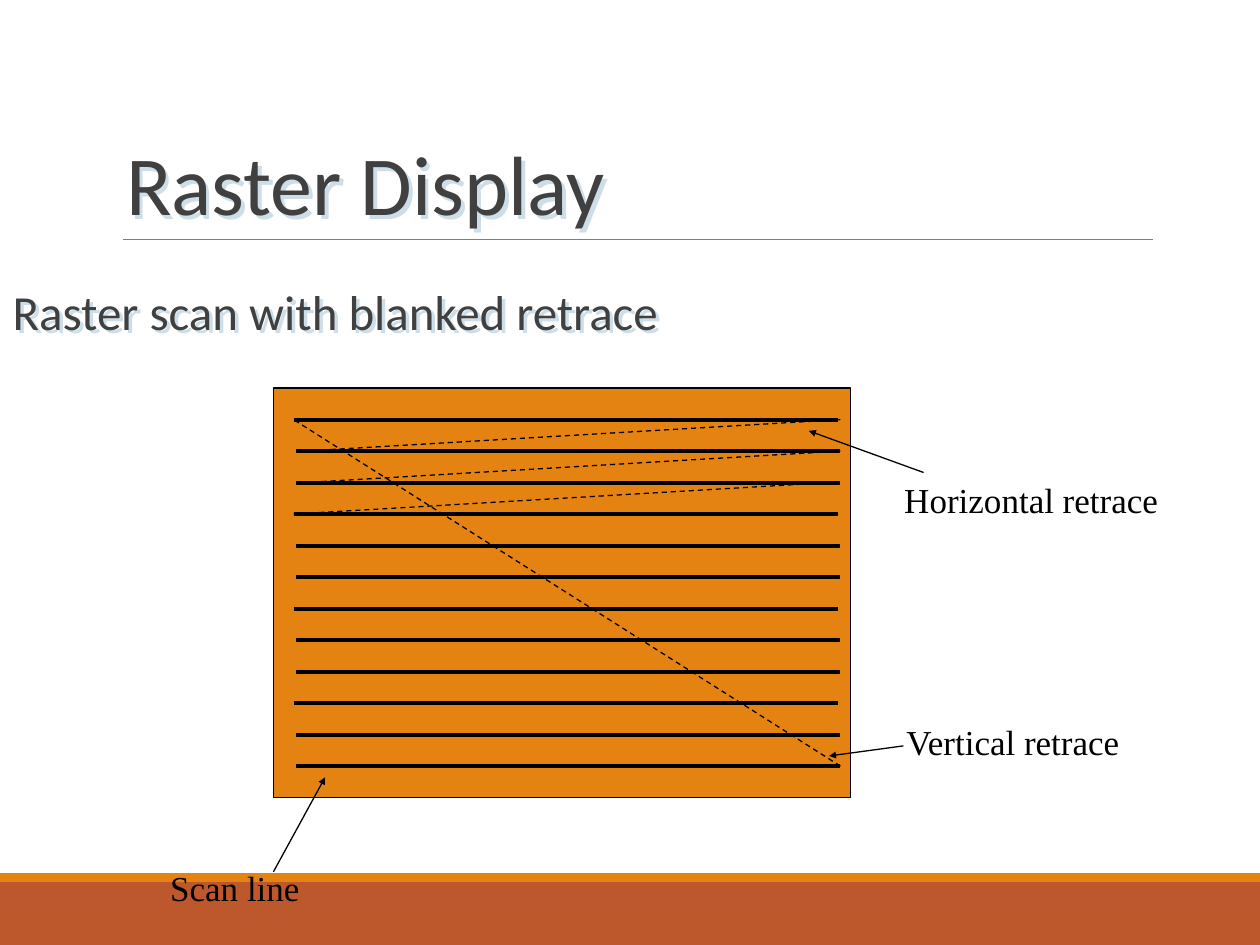
from lxml.etree import SubElement
from pptx import Presentation
from pptx.dml.color import RGBColor
from pptx.enum.dml import MSO_LINE
from pptx.enum.shapes import MSO_CONNECTOR, MSO_SHAPE
from pptx.enum.text import MSO_ANCHOR, MSO_AUTO_SIZE, PP_ALIGN
from pptx.oxml import parse_xml
from pptx.oxml.ns import nsdecls, qn
from pptx.util import Inches, Pt

BLACK = RGBColor(0x00, 0x00, 0x00)
DARK = RGBColor(0x40, 0x40, 0x40)
GRAY = RGBColor(0x7F, 0x7F, 0x7F)
ORANGE = RGBColor(0xE4, 0x83, 0x12)
RUST = RGBColor(0xBD, 0x58, 0x2C)
TEXT_SHADOW = RGBColor(0xCD, 0xDE, 0xE9)

# Content
TITLE = "Raster Display"
SUBTITLE = "Raster scan with blanked retrace"
# text, box (left, top, width, height), arrow start, arrow tip
LABELS = [
    ("Scan line", (1.25, 6.83, 1.23, 0.44), (2.17, 6.92), (2.58, 6.17)),
    ("Vertical retrace", (7.08, 5.67, 1.92, 0.44), (7.17, 5.92), (6.58, 6)),
    ("Horizontal retrace", (7.07, 3.75, 2.23, 0.44), (7.33, 3.75), (6.42, 3.42)),
]

# Scan geometry
SCAN_TOP, SCAN_GAP, SCAN_COUNT, SCAN_WIDTH = 3.33, 0.25, 12, 4.32
RETRACE_ENDS = [(6.67, 2.42), (6.67, 2.42), (6.58, 2.33)]


def scan_y(i):
    return SCAN_TOP + i * SCAN_GAP


def add_rect(s, box, fill, line=None):
    sp = s.shapes.add_shape(MSO_SHAPE.RECTANGLE, *map(Inches, box))
    sp.shadow.inherit = False
    sp.fill.solid()
    sp.fill.fore_color.rgb = fill
    if line is None:
        sp.line.fill.background()
    else:
        sp.line.color.rgb = line
        sp.line.width = Pt(0.75)


def add_line(s, start, end, width=0.75, color=BLACK, dashed=False, arrow=False):
    c = s.shapes.add_connector(MSO_CONNECTOR.STRAIGHT, *map(Inches, start + end))
    c.line.color.rgb = color
    c.line.width = Pt(width)
    if dashed:
        c.line.dash_style = MSO_LINE.DASH
    if arrow:
        SubElement(c.line._get_or_add_ln(), qn("a:tailEnd"),
                   type="triangle", w="sm", len="sm")
    SubElement(c._element.spPr, qn("a:effectLst"))


def format_text(sp, text, font, size, color, align, spacing=None):
    tf = sp.text_frame
    tf.text = text
    p = tf.paragraphs[0]
    p.alignment = align
    if spacing:
        p.line_spacing = spacing
    p.space_before = Pt(0)
    f = p.runs[0].font
    f.name, f.size, f.color.rgb = font, Pt(size), color
    return tf


def place(sp, box):
    sp.left, sp.top, sp.width, sp.height = map(Inches, box)


def add_text_shadow(sp):
    sp._element.spPr.append(parse_xml(
        f'<a:effectLst {nsdecls("a")}><a:outerShdw dist="35921" dir="2700000" '
        f'algn="ctr" rotWithShape="0"><a:srgbClr val="{TEXT_SHADOW}"/>'
        '</a:outerShdw></a:effectLst>'))


prs = Presentation()
prs.slide_width, prs.slide_height = Inches(10), Inches(7.5)
s = prs.slides.add_slide(prs.slide_layouts[1])

# Footer bands and title rule
add_rect(s, (0, 7, 10, 0.5), RUST)
add_rect(s, (0, 6.93, 10, 0.07), ORANGE)
add_line(s, (0.98, 1.9), (9.15, 1.9), 0.5, GRAY)

# Title
title = s.shapes.title
place(title, (0.9, 0.31, 8.25, 1.59))
tf = format_text(title, TITLE, "Calibri", 48, DARK, PP_ALIGN.LEFT, 0.85)
tf.vertical_anchor = MSO_ANCHOR.BOTTOM
tf.auto_size = MSO_AUTO_SIZE.NONE
add_text_shadow(title)

# Subtitle
body = s.placeholders[1]
place(body, (0, 1.58, 10, 1.75))
tf = format_text(body, SUBTITLE, "Calibri", 28, DARK, PP_ALIGN.LEFT, 0.9)
pPr = tf.paragraphs[0]._p.get_or_add_pPr()
pPr.set("marL", str(Inches(0.1)))
pPr.set("indent", "0")
SubElement(pPr, qn("a:buNone"))
tf.margin_left = tf.margin_right = 0
tf.margin_top, tf.margin_bottom = Inches(0.13), Inches(0.05)
tf.vertical_anchor = MSO_ANCHOR.MIDDLE
tf.auto_size = MSO_AUTO_SIZE.NONE
add_text_shadow(body)

# Screen with scan lines; every third line starts slightly further left
add_rect(s, (2.17, 3.08, 4.58, 3.25), ORANGE, BLACK)
for i in range(SCAN_COUNT):
    left = 2.33 if i % 3 == 0 else 2.35
    add_line(s, (left, scan_y(i)), (left + SCAN_WIDTH, scan_y(i)), 2.25)

# Horizontal and vertical retraces
for i, (right, left) in enumerate(RETRACE_ENDS):
    add_line(s, (right, scan_y(i)), (left, scan_y(i + 1)), dashed=True)
add_line(s, (6.67, scan_y(SCAN_COUNT - 1)), (2.33, scan_y(0)), dashed=True)

# Labels and their arrows
for text, box, start, tip in LABELS:
    label = s.shapes.add_textbox(*map(Inches, box))
    tf = format_text(label, text, "Times New Roman", 20, BLACK, PP_ALIGN.CENTER)
    tf.word_wrap = False
    tf.auto_size = MSO_AUTO_SIZE.SHAPE_TO_FIT_TEXT
    add_line(s, start, tip, arrow=True)

prs.save("out.pptx")
